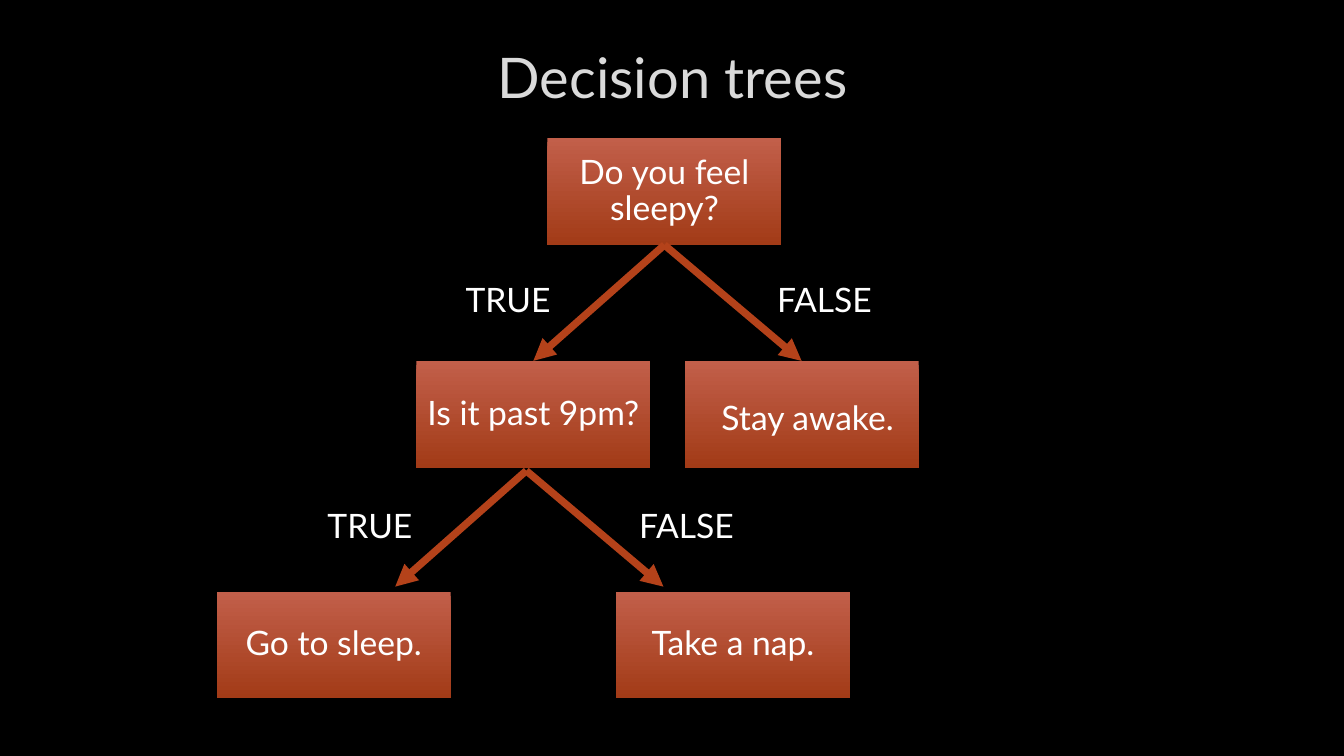
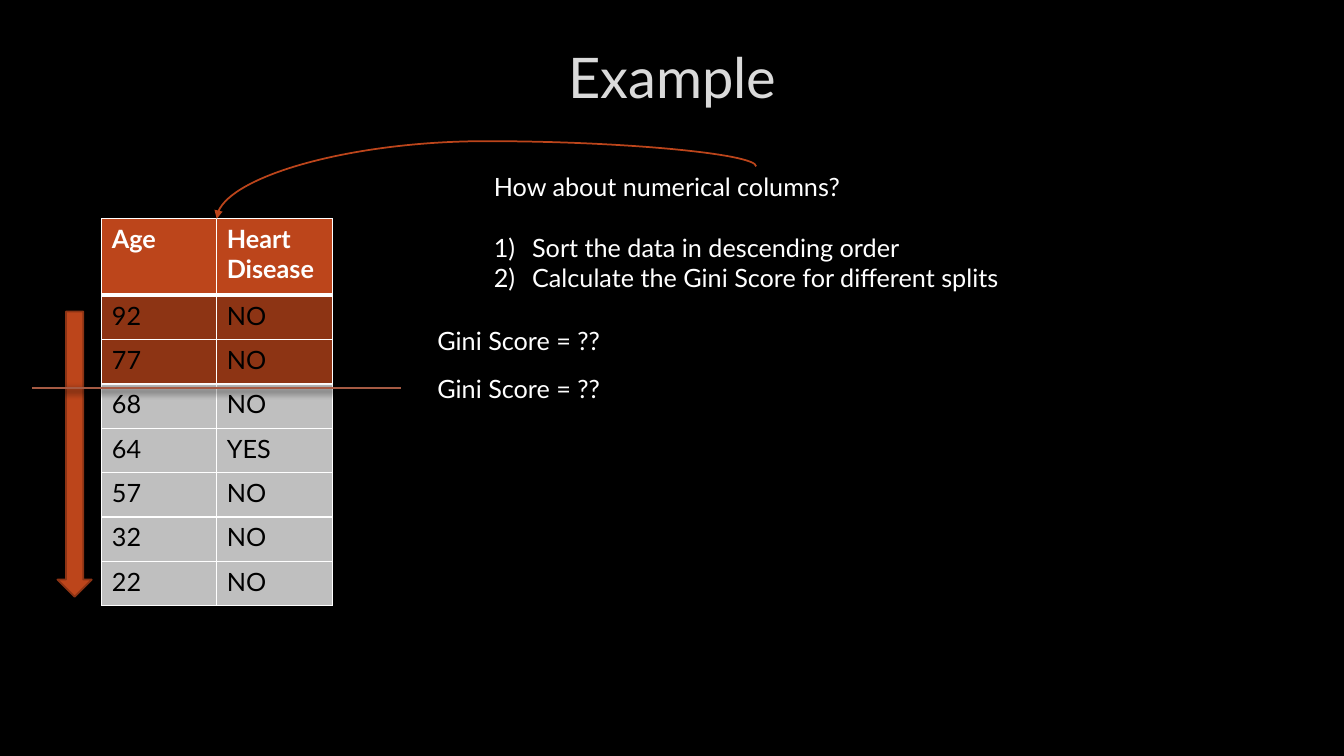
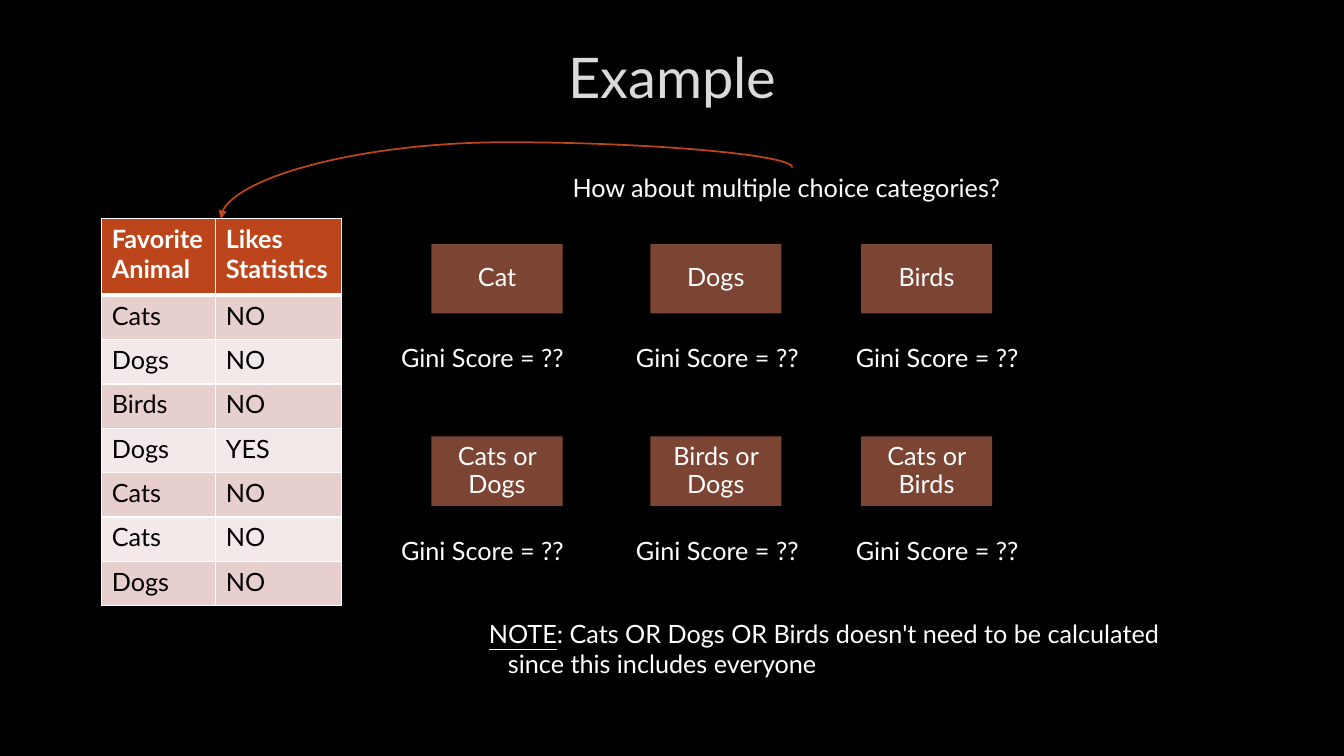
"""Build three slides about decision trees and Gini scores."""
from dataclasses import dataclass

from lxml.etree import SubElement
from pptx import Presentation
from pptx.dml.color import RGBColor as Rgb
from pptx.enum.shapes import MSO_CONNECTOR as Connector, MSO_SHAPE as Shape
from pptx.enum.text import MSO_ANCHOR as Anchor, PP_ALIGN as Align
from pptx.oxml.ns import qn
from pptx.util import Pt


@dataclass(frozen=True)
class Theme:
    """Colours, font and type sizes shared by the slides."""
    font: str = "Lato"
    title_size: int = 40
    tree_size: int = 24
    body_size: int = 18
    background: str = "000000"
    title: str = "DADADA"
    text: str = "FFFFFF"
    cell_text: str = "000000"
    accent: str = "BC451B"
    accent_dark: str = "8B3314"
    branch: str = "B4421A"
    split: str = "A55A43"
    node_top: str = "C25F4A"
    node_bottom: str = "A23B17"
    choice: str = "7C4432"
    above_split: str = "8D3414"
    below_split: str = "BFBFBF"
    band_dark: str = "E7CFCD"
    band_light: str = "F3E9E8"


THEME = Theme()
EMU_PER_PX = 9144
SCORE = "Gini Score = ??"


def px(*lengths):
    """Turn pixel lengths into a list of EMU."""
    return [round(length * EMU_PER_PX) for length in lengths]


def rgb(code):
    """Turn a hex code into a colour."""
    return Rgb.from_string(code)


def style_font(font, size, color=THEME.text, bold=False):
    """Set the typeface, size, colour and weight of a font."""
    font.name, font.size, font.bold = THEME.font, Pt(size), bold
    font.color.rgb = rgb(color)


def add_text(page, place, text, size=THEME.body_size, color=THEME.text, wrap=True):
    """Add a text box and return its text frame."""
    frame = page.shapes.add_textbox(*px(*place)).text_frame
    frame.word_wrap = wrap
    frame.text = text
    for para in frame.paragraphs:
        style_font(para.font, size, color)
    return frame


def add_page(deck, title):
    """Add a blank slide with a centred title."""
    page = deck.slides.add_slide(deck.slide_layouts[6])
    frame = add_text(page, (101, 23, 1132, 106), title, THEME.title_size, THEME.title)
    frame.vertical_anchor = Anchor.MIDDLE
    frame.paragraphs[0].alignment = Align.CENTER
    return page


def add_box(page, place, text, size, shift=(0, 0)):
    """Add a borderless rectangle with centred text, moved by shift."""
    box = page.shapes.add_shape(Shape.RECTANGLE, *px(*place))
    box.shadow.inherit = False
    box.line.fill.background()
    frame = box.text_frame
    frame.word_wrap = True
    frame.vertical_anchor = Anchor.MIDDLE
    frame.margin_left, frame.margin_top = px(*(4 + 2 * step for step in shift))
    frame.margin_right, frame.margin_bottom = px(4, 4)
    frame.text = text
    para = frame.paragraphs[0]
    para.alignment, para.line_spacing = Align.CENTER, 0.9
    style_font(para.font, size)
    return box


def add_node(page, left, top, text, shift=(0, 0)):
    """Add a gradient node of the decision tree."""
    fill = add_box(page, (left, top, 232, 106), text, THEME.tree_size, shift).fill
    fill.gradient()
    fill.gradient_angle = 270
    for stop, color in zip(fill.gradient_stops, (THEME.node_top, THEME.node_bottom)):
        stop.color.rgb = rgb(color)


def add_line(page, kind, start, end, color, width, arrow=True):
    """Add a connector without shadow, by default with an arrowhead."""
    line = page.shapes.add_connector(kind, *px(*start, *end))
    line.line.color.rgb = rgb(color)
    line.line.width = Pt(width)
    if arrow:
        SubElement(line.line._get_or_add_ln(), qn("a:tailEnd"), type="triangle")
    SubElement(line._element.spPr, qn("a:effectLst"))
    return line


def add_shadow(line):
    """Give a connector a soft shadow below it."""
    effects = line._element.spPr.find(qn("a:effectLst"))
    shadow = SubElement(effects, qn("a:outerShdw"), blurRad=str(Pt(5)),
                        dist=str(Pt(2)), dir="5400000", rotWithShape="0")
    color = SubElement(shadow, qn("a:srgbClr"), val="000000")
    SubElement(color, qn("a:alpha"), val="60000")


def add_arc(page, start, end, lift=25):
    """Add a curved arrow that rises by lift and falls left onto its end."""
    (right, top), (left, bottom) = start, end
    width, height = bottom - top, right - left
    x, y = (left + right - width) / 2, (top + bottom - height) / 2
    arc = add_line(page, Connector.CURVE, (x, y), (x + width, y + height),
                   THEME.accent, 1.25)
    properties = arc._element.spPr
    for name, value in (("rot", "16200000"), ("flipH", "1"), ("flipV", "1")):
        properties.find(qn("a:xfrm")).set(name, value)
    guides = properties.find(qn("a:prstGeom")).get_or_add_avLst()
    SubElement(guides, qn("a:gd"), name="adj1",
               fmla=f"val {round(-100000 * lift / width)}")


def add_branch(page, x, y):
    """Add the TRUE and FALSE arrows that leave a node at x, y."""
    for answer, label_step, arrow_step in (("TRUE", -207, -130), ("FALSE", 102, 136)):
        add_text(page, (x + label_step, y + 29, 206, 50), answer, THEME.tree_size)
        add_line(page, Connector.STRAIGHT, (x, y), (x + arrow_step, y + 115),
                 THEME.branch, 5.25)


def style_cell(cell, fill, color, bold, bottom):
    """Set the fill, font and white borders of a table cell."""
    style_font(cell.text_frame.paragraphs[0].font, THEME.body_size, color, bold)
    properties = cell._tc.get_or_add_tcPr()
    for side, width in (("L", 1), ("R", 1), ("T", 1), ("B", bottom)):
        border = SubElement(properties, qn(f"a:ln{side}"), w=str(Pt(width)))
        paint = SubElement(border, qn("a:solidFill"))
        SubElement(paint, qn("a:srgbClr"), val=THEME.text)
    cell.fill.solid()
    cell.fill.fore_color.rgb = rgb(fill)


def add_data(page, widths, rows, fills):
    """Add a table with a header row and one fill for each body row."""
    heights = [76] + [44] * (len(rows) - 1)
    place = px(101, 217, sum(widths), sum(heights))
    table = page.shapes.add_table(len(rows), len(widths), *place).table
    table.horz_banding = False
    for column, width in zip(table.columns, px(*widths)):
        column.width = width
    for row, height in zip(table.rows, px(*heights)):
        row.height = height
    for y, (values, fill) in enumerate(zip(rows, [THEME.accent, *fills])):
        header = y == 0
        for x, value in enumerate(values):
            cell = table.cell(y, x)
            cell.text = value
            style_cell(cell, fill, THEME.text if header else THEME.cell_text,
                       header, 3 if header else 1)


def add_score(page, left, top):
    """Add an open Gini score."""
    add_text(page, (left, top, 183, 40), SCORE, wrap=False)


def set_indent(para, left, first):
    """Set the left margin and first-line indent of a paragraph in px."""
    properties = para._p.get_or_add_pPr()
    for name, length in zip(("marL", "indent"), px(left, first)):
        properties.set(name, str(length))
    return properties


def build_tree(deck):
    """Build the decision tree slide."""
    page = add_page(deck, "Decision trees")
    add_node(page, 543, 137, "Do you feel sleepy?")
    add_branch(page, 659, 243)
    add_node(page, 413, 358, "Is it past 9pm?")
    add_node(page, 679, 358, "Stay awake.", shift=(6, 5))
    add_branch(page, 522, 467)
    add_node(page, 215, 587, "Go to sleep.")
    add_node(page, 611, 587, "Take a nap.")


def build_numbers(deck):
    """Build the slide about numerical columns."""
    page = add_page(deck, "Example")
    rows = [("Age", "Heart Disease"), ("92", "NO"), ("77", "NO"), ("68", "NO"),
            ("64", "YES"), ("57", "NO"), ("32", "NO"), ("22", "NO")]
    add_data(page, (114, 115), rows, [THEME.above_split] * 2 + [THEME.below_split] * 5)
    steps = add_text(page, (480, 165, 540, 131),
                     "How about numerical columns?\n"
                     "Sort the data in descending order\n"
                     "Calculate the Gini Score for different splits")
    for para in steps.paragraphs[1:]:
        bullet = SubElement(set_indent(para, 38, -38), qn("a:buAutoNum"),
                            type="arabicParenR")
        bullet.getparent().insert(0, bullet)
    steps.paragraphs[1].space_before = Pt(22)
    add_arc(page, (750, 165), (215, 217))
    arrow = page.shapes.add_shape(Shape.DOWN_ARROW, *px(57, 309, 34, 283))
    arrow.shadow.inherit = False
    arrow.fill.solid()
    arrow.fill.fore_color.rgb = rgb(THEME.accent)
    arrow.line.color.rgb = rgb(THEME.accent_dark)
    arrow.line.width = Pt(1.25)
    add_shadow(add_line(page, Connector.STRAIGHT, (32, 385), (398, 385),
                        THEME.split, 2, arrow=False))
    for top in (318, 365):
        add_score(page, 424, top)


def build_categories(deck):
    """Build the slide about multiple choice categories."""
    page = add_page(deck, "Example")
    add_text(page, (558, 166, 455, 71), "How about multiple choice categories?")
    add_arc(page, (786, 166), (219, 217))
    rows = [("Favorite Animal", "Likes Statistics"), ("Cats", "NO"), ("Dogs", "NO"),
            ("Birds", "NO"), ("Dogs", "YES"), ("Cats", "NO"), ("Cats", "NO"),
            ("Dogs", "NO")]
    bands = [THEME.band_dark, THEME.band_light] * 4
    add_data(page, (113, 125), rows, bands[:7])
    choices = ((242, ("Cat", "Dogs", "Birds")),
               (433, ("Cats or Dogs", "Birds or Dogs", "Cats or Birds")))
    columns = ((428, 388), (645, 621), (854, 839))
    for top, names in choices:
        for name, (box_left, score_left) in zip(names, columns):
            box = add_box(page, (box_left, top, 130, 69), name, THEME.body_size)
            box.fill.solid()
            box.fill.fore_color.rgb = rgb(THEME.choice)
            add_score(page, score_left, top + 93)
    para = add_text(page, (475, 608, 716, 101), "NOTE").paragraphs[0]
    set_indent(para, 19, -19)
    para.runs[0].font.underline = True
    span = para.add_run()
    span.text = (": Cats OR Dogs OR Birds doesn't need to be calculated "
                 "since this includes everyone")


def main():
    """Build and save the deck."""
    deck = Presentation()
    deck.slide_width, deck.slide_height = px(1333, 750)
    backdrop = deck.slide_master.background.fill
    backdrop.solid()
    backdrop.fore_color.rgb = rgb(THEME.background)
    for build in (build_tree, build_numbers, build_categories):
        build(deck)
    deck.save("out.pptx")


if __name__ == "__main__":
    main()
